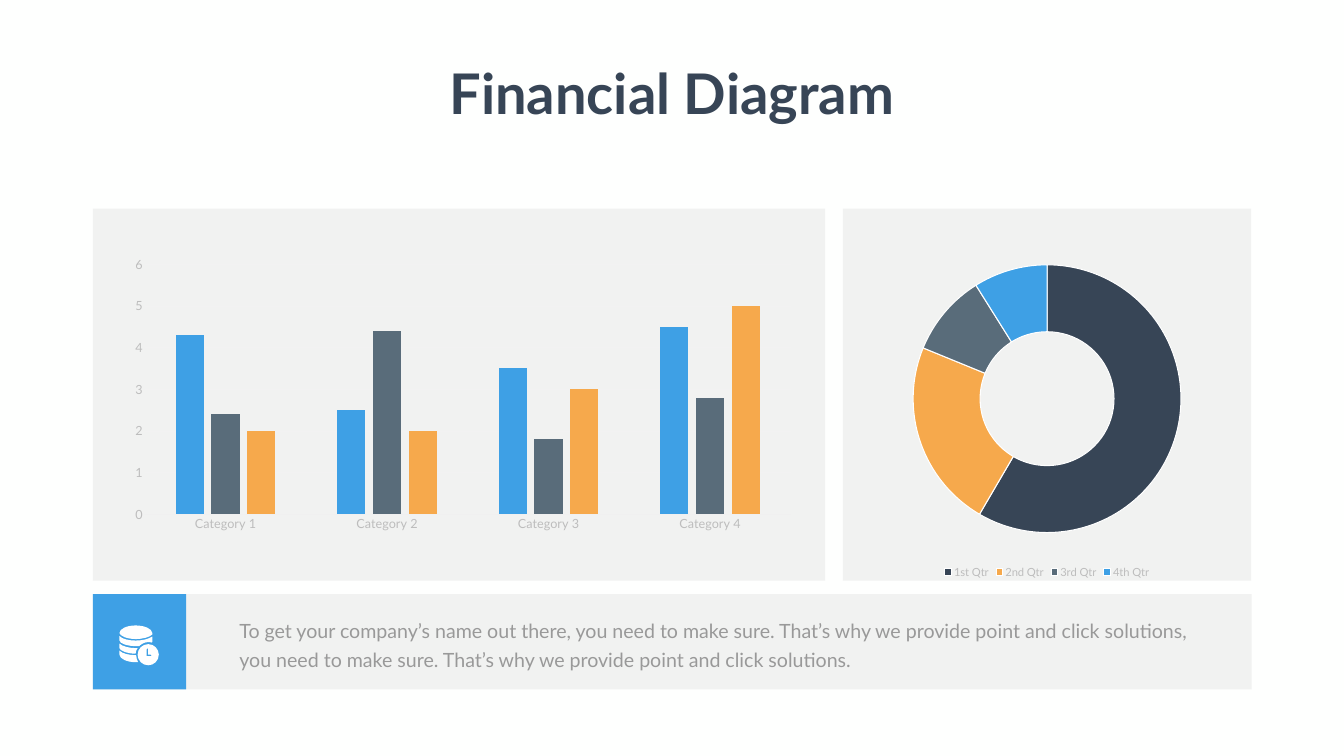
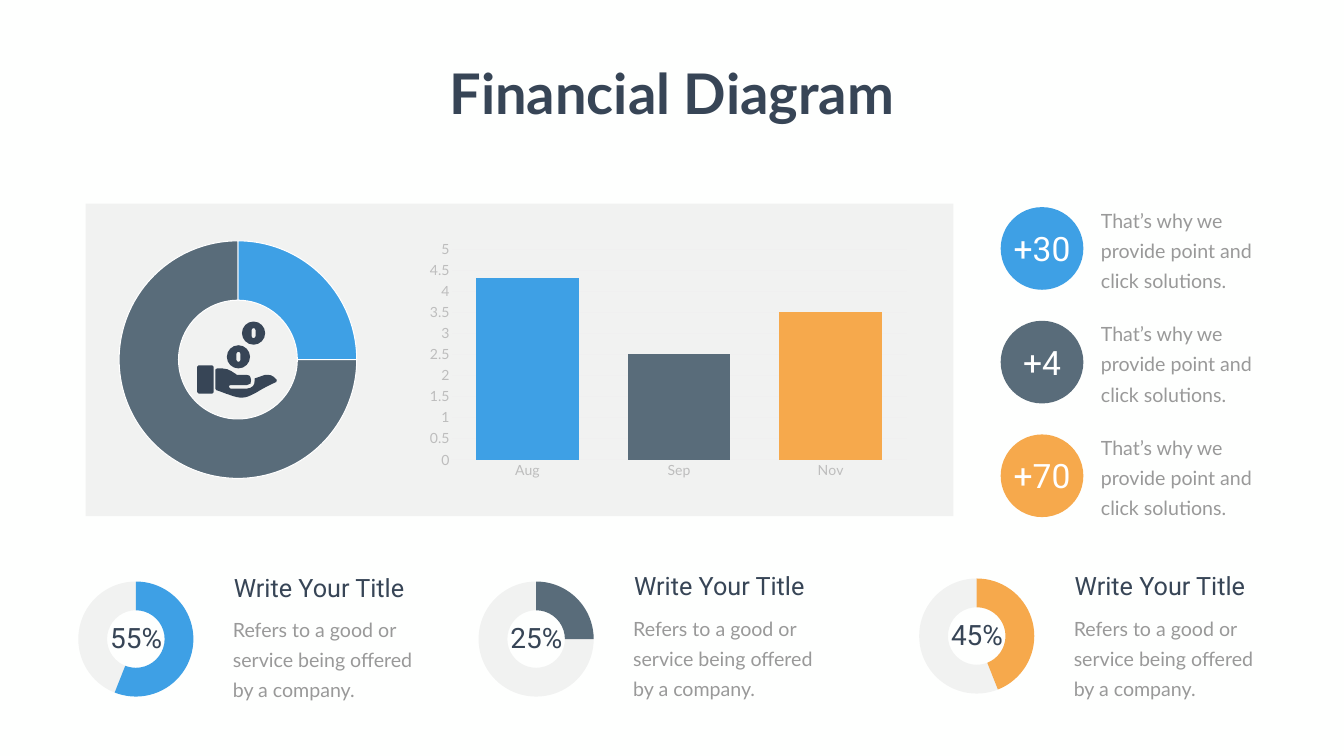
"""Build two financial diagram slides with charts, badges and icons."""
from dataclasses import dataclass

from lxml import etree
from pptx import Presentation
from pptx.chart.data import CategoryChartData
from pptx.dml.color import RGBColor
from pptx.enum.chart import XL_CHART_TYPE, XL_LEGEND_POSITION, XL_TICK_MARK
from pptx.enum.shapes import MSO_SHAPE
from pptx.enum.text import MSO_AUTO_SIZE, PP_ALIGN
from pptx.oxml import parse_xml
from pptx.oxml.ns import nsdecls, qn
from pptx.util import Inches, Pt

COLUMN, DOUGHNUT = XL_CHART_TYPE.COLUMN_CLUSTERED, XL_CHART_TYPE.DOUGHNUT
LEGEND_BOTTOM = XL_LEGEND_POSITION.BOTTOM
NO_TICK = XL_TICK_MARK.NONE
RECTANGLE, OVAL = MSO_SHAPE.RECTANGLE, MSO_SHAPE.OVAL
GROW = MSO_AUTO_SIZE.SHAPE_TO_FIT_TEXT
LEFT, CENTER = PP_ALIGN.LEFT, PP_ALIGN.CENTER

COLORS = {
    "page": "FEFFFE", "white": "FFFFFF", "navy": "374556", "blue": "3EA0E5",
    "slate": "596C7A", "orange": "F6A94C", "panel": "808080", "body": "999999",
    "label": "BDBDBD", "axis": "F0F0F0", "grid": "F2F2F2",
}
PANEL_ALPHA = 10
ARC = 0.55

Box = tuple[float, float, float, float]
Outline = list[tuple[float, ...]]


@dataclass(frozen=True)
class Style:
    font: str
    size: float
    color: str
    bold: bool = False
    align: PP_ALIGN = LEFT
    leading: float | None = None
    wrap: bool = True
    insets: tuple[float, float] = (0.1, 0.05)


@dataclass(frozen=True)
class Badge:
    number: str
    color: str


@dataclass(frozen=True)
class Card:
    left: float
    chart_top: float
    title_top: float
    percent: str
    share: int
    color: str


TITLE = Style("Lato", 80, "navy", bold=True, align=CENTER, wrap=False)
NOTE = Style("Lato", 28, "body", leading=40.8)
BADGE_NUMBER = Style("Roboto", 48, "white", align=CENTER)
BADGE_TEXT = Style("Lato", 28, "body", leading=43)
CARD_TITLE = Style("Roboto", 36, "navy")
CARD_TEXT = Style("Lato", 28, "body", leading=43, insets=(0.24, 0.12))
CARD_PERCENT = Style("Roboto", 40, "navy", align=CENTER)

BADGES = [Badge("+30", "blue"), Badge("+4", "slate"), Badge("+70", "orange")]
CARDS = [
    Card(1.33, 11.4, 11.3, "55%", 56, "blue"),
    Card(9.27, 11.4, 11.27, "25%", 25, "slate"),
    Card(18.01, 11.34, 11.27, "45%", 44, "orange"),
]

DISKS = [
    [(2.69, 12.97), (2.69, 12.93, 2.71, 12.89, 2.73, 12.86), (2.69, 12.86),
     (2.56, 12.86, 2.42, 12.82, 2.37, 12.77), (2.37, 12.86),
     (2.37, 12.9, 2.51, 12.97, 2.69, 12.97)],
    [(2.69, 12.82), (2.76, 12.82), (2.8, 12.78, 2.87, 12.74, 2.94, 12.74),
     (2.96, 12.74, 2.99, 12.74, 3, 12.75), (3.02, 12.74), (3.02, 12.63),
     (2.95, 12.68, 2.82, 12.71, 2.69, 12.71), (2.56, 12.71, 2.42, 12.68, 2.37, 12.62),
     (2.37, 12.71), (2.37, 12.76, 2.51, 12.82, 2.69, 12.82)],
    [(2.69, 12.68), (2.84, 12.68, 2.97, 12.64, 3.02, 12.59), (3.02, 12.56),
     (3.02, 12.48, 2.87, 12.41, 2.69, 12.41), (2.51, 12.41, 2.37, 12.48, 2.37, 12.56),
     (2.37, 12.61, 2.51, 12.68, 2.69, 12.68)],
    [(2.7, 13), (2.56, 13, 2.43, 12.97, 2.37, 12.91), (2.37, 12.99),
     (2.37, 13.07, 2.52, 13.14, 2.7, 13.14), (2.74, 13.14),
     (2.72, 13.09, 2.7, 13.05, 2.7, 13)],
]
CLOCK_HANDS = [(2.99, 13.02), (2.91, 13.02), (2.91, 12.88),
               (2.91, 12.87, 2.91, 12.86, 2.92, 12.86),
               (2.93, 12.86, 2.94, 12.87, 2.94, 12.88), (2.94, 12.99), (2.99, 12.99),
               (3, 12.99, 3.01, 13, 3.01, 13), (3.01, 13.01, 3, 13.02, 2.99, 13.02)]
CUFF = [(4.21, 7.25), (3.94, 7.25), (3.93, 7.25, 3.91, 7.26, 3.91, 7.28), (3.91, 7.78),
        (3.91, 7.79, 3.93, 7.81, 3.94, 7.81), (4.21, 7.81),
        (4.22, 7.81, 4.24, 7.79, 4.24, 7.78), (4.24, 7.28),
        (4.24, 7.26, 4.22, 7.25, 4.21, 7.25)]
HAND = [(5.48, 7.53), (5.41, 7.44, 5.35, 7.43, 5.25, 7.44), (5.05, 7.51), (5.05, 7.54),
        (5.05, 7.59, 5.05, 7.63, 5.02, 7.66), (4.98, 7.69, 4.95, 7.71, 4.9, 7.71),
        (4.57, 7.71), (4.55, 7.71, 4.54, 7.69, 4.54, 7.68),
        (4.54, 7.66, 4.55, 7.64, 4.57, 7.64), (4.9, 7.64),
        (4.93, 7.64, 4.95, 7.63, 4.97, 7.61), (4.98, 7.59, 4.98, 7.58, 4.98, 7.54),
        (4.98, 7.51, 4.97, 7.44, 4.9, 7.44), (4.7, 7.44), (4.69, 7.43),
        (4.65, 7.41, 4.55, 7.31, 4.41, 7.31), (4.31, 7.31),
        (4.29, 7.31, 4.27, 7.33, 4.27, 7.34), (4.27, 7.71), (4.29, 7.74),
        (4.41, 7.78, 4.47, 7.81, 4.54, 7.83), (4.67, 7.88, 4.74, 7.89, 4.8, 7.89),
        (4.88, 7.89, 4.95, 7.86, 5.08, 7.79), (5.16, 7.74, 5.3, 7.66, 5.48, 7.58),
        (5.49, 7.54)]


def capsule(x: float, y: float, radius: float, stretch: float = 0) -> Outline:
    left, right, bend = x - radius, x + radius, ARC * radius
    outline = [(left, y - stretch)]
    for start, end, side in ((left, right, -1), (right, left, 1)):
        base = y + side * stretch
        peak = base + side * radius
        if stretch and side == 1:
            outline.append((start, base))
        outline += [(start, base + side * bend, x + side * bend, peak, x, peak),
                    (x - side * bend, peak, end, base + side * bend, end, base)]
    return outline


def paint(fill, color: str, alpha: int | None = None) -> None:
    fill.solid()
    fill.fore_color.rgb = RGBColor.from_string(COLORS[color])
    if alpha is not None:
        color_node = fill._xPr.find(qn("a:solidFill"))[0]
        etree.SubElement(color_node, qn("a:alpha"), val=str(alpha * 1000))


def paint_slice(fill, color: str) -> None:
    paint(fill, color, PANEL_ALPHA if color == "panel" else None)


def set_font(font, name: str, size: float, color: str) -> None:
    font.name, font.size = name, Pt(size)
    font.color.rgb = RGBColor.from_string(COLORS[color])


def add_block(page, kind, box: Box, color: str) -> None:
    shape = page.shapes.add_shape(kind, *map(Inches, box))
    shape.shadow.inherit = False
    shape.line.fill.background()
    paint_slice(shape.fill, color)


def add_outline(page, color: str, *outlines: Outline) -> None:
    rings = [[tuple(map(Inches, step)) for step in outline] for outline in outlines]
    builder = page.shapes.build_freeform(*rings[0][0])
    for ring in rings:
        if ring is not rings[0]:
            builder.move_to(*ring[0])
        builder.add_line_segments([step[-2:] for step in ring[1:]])
    shape = builder.convert_to_shape()
    shape.shadow.inherit = False
    shape.line.fill.background()
    paint(shape.fill, color)
    steps = [step for ring in rings for step in ring[1:]]
    for segment, step in zip(list(shape._element.iter(qn("a:lnTo"))), steps):
        if len(step) == 6:
            curve = etree.Element(qn("a:cubicBezTo"))
            for x, y in zip(step[::2], step[1::2]):
                etree.SubElement(curve, qn("a:pt"), x=str(x - shape.left),
                                 y=str(y - shape.top))
            segment.getparent().replace(segment, curve)


def add_text(page, box: Box, text: str, style: Style) -> None:
    frame = page.shapes.add_textbox(*map(Inches, box)).text_frame
    frame.word_wrap = style.wrap
    frame.auto_size = GROW
    frame.margin_left = frame.margin_right = Inches(style.insets[0])
    frame.margin_top = frame.margin_bottom = Inches(style.insets[1])
    frame.text = text
    para = frame.paragraphs[0]
    para.alignment = style.align
    if style.leading:
        para.line_spacing = Pt(style.leading)
    span = para.runs[0]
    set_font(span.font, style.font, style.size, style.color)
    span.font.bold = style.bold


def add_chart(page, kind, box: Box, categories: list[str], rows: list[list[float]],
              size: float, font: str = "Lato", panel: bool = False,
              plot_area: Box | None = None):
    data = CategoryChartData()
    data.categories = categories
    for number, row in enumerate(rows, 1):
        data.add_series(f"Series {number}", row)
    chart = page.shapes.add_chart(kind, *map(Inches, box), data).chart
    chart.has_title = chart.has_legend = False
    chart.plots[0].has_data_labels = False
    set_font(chart.font, font, size, "body")
    clear = f'<c:spPr {nsdecls("c", "a")}><a:noFill/><a:ln><a:noFill/></a:ln></c:spPr>'
    frame = parse_xml(clear)
    if panel:
        fill = etree.Element(qn("a:solidFill"))
        tint = etree.SubElement(fill, qn("a:srgbClr"), val=COLORS["panel"])
        etree.SubElement(tint, qn("a:alpha"), val=str(PANEL_ALPHA * 1000))
        frame.replace(frame[0], fill)
    chart.element.find(qn("c:txPr")).addprevious(frame)
    area = chart.element.find(f'.//{qn("c:plotArea")}')
    area.append(parse_xml(clear))
    if plot_area:
        for old in area.findall(qn("c:layout")):
            area.remove(old)
        layout = etree.Element(qn("c:layout"))
        manual = etree.SubElement(layout, qn("c:manualLayout"))
        settings = [("layoutTarget", "inner"), ("xMode", "edge"), ("yMode", "edge"),
                    *zip("xywh", plot_area)]
        for name, value in settings:
            etree.SubElement(manual, qn(f"c:{name}"), val=str(value))
        area.insert(0, layout)
    return chart


def add_columns(page, box: Box, categories: list[str], rows: list[list[float]],
                size: float, gap: int, top: float, unit: float, grid: str, **options):
    chart = add_chart(page, COLUMN, box, categories, rows, size, **options)
    plot = chart.plots[0]
    plot.gap_width, plot.overlap, plot.vary_by_categories = gap, -27, False
    for axis in (chart.category_axis, chart.value_axis):
        axis.major_tick_mark = axis.minor_tick_mark = NO_TICK
        set_font(axis.tick_labels.font, "Lato", size, "label")
    values = chart.value_axis
    values.minimum_scale, values.maximum_scale, values.major_unit = 0, top, unit
    values.format.line.fill.background()
    values.has_major_gridlines = True
    for line, color in ((chart.category_axis.format.line, "axis"),
                        (values.major_gridlines.format.line, grid)):
        paint(line.fill, color)
        line.width = Pt(0.75)
    return plot


def add_doughnut(page, box: Box, categories: list[str], values: list[float],
                 colors: list[str], size: float = 10, font: str = "Calibri",
                 edged: bool = True, **options):
    chart = add_chart(page, DOUGHNUT, box, categories, [values], size, font, **options)
    chart.element.find(f'.//{qn("c:holeSize")}').set("val", "75")
    for index, color in enumerate(colors):
        look = chart.plots[0].series[0].points[index].format
        paint_slice(look.fill, color)
        if edged:
            paint(look.line.fill, "white")
            look.line.width = Pt(1.5)
        else:
            look.line.fill.background()
    return chart


def add_page(deck):
    page = deck.slides.add_slide(deck.slide_layouts[6])
    paint(page.background.fill, "page")
    return page


def add_title(page) -> None:
    add_text(page, (8.71, 1.12, 9.24, 1.45), "Financial Diagram", TITLE)


def build_overview(deck) -> None:
    page = add_page(deck)
    plot = add_columns(
        page, (1.84, 4.14, 14.53, 7.38), [f"Category {n}" for n in range(1, 5)],
        [[4.3, 2.5, 3.5, 4.5], [2.4, 4.4, 1.8, 2.8], [2, 2, 3, 5]], 18, 219, 6, 1, "grid",
        panel=True, plot_area=(0.071, 0.149, 0.882, 0.673))
    for series, color in zip(plot.series, ("blue", "slate", "orange")):
        paint(series.format.fill, color)
    chart = add_doughnut(
        page, (16.72, 4.14, 8.1, 7.38), ["1st Qtr", "2nd Qtr", "3rd Qtr", "4th Qtr"],
        [59, 23, 10, 9], ["navy", "orange", "slate", "blue"], 16, "Lato",
        panel=True, plot_area=(0.138, 0.151, 0.724, 0.72))
    chart.has_legend = True
    chart.legend.position = LEGEND_BOTTOM
    chart.legend.include_in_layout = False
    set_font(chart.legend.font, "Lato", 16, "label")
    add_block(page, RECTANGLE, (1.84, 11.79, 22.99, 1.89), "panel")
    add_block(page, RECTANGLE, (1.84, 11.79, 1.85, 1.89), "blue")
    for disk in DISKS:
        add_outline(page, "white", disk)
    add_outline(page, "white", capsule(2.94, 12.99, 0.21), CLOCK_HANDS)
    add_text(page, (4.65, 12.14, 19.39, 1.19),
             "To get your company’s name out there, you need to make sure. That’s why we "
             "provide point and click solutions, you need to make sure. That’s why we "
             "provide point and click solutions.", NOTE)
    add_title(page)


def add_badge(page, badge: Badge, top: float) -> None:
    add_block(page, OVAL, (19.85, top, 1.64, 1.64), badge.color)
    add_text(page, (19.6, top + 0.36, 2.14, 0.91), badge.number, BADGE_NUMBER)
    add_text(page, (21.74, top - 0.15, 3.63, 1.84),
             "That’s why we provide point and click solutions.", BADGE_TEXT)


def add_card(page, card: Card) -> None:
    add_text(page, (card.left + 3.05, card.title_top + 0.71, 4.16, 1.98),
             "Refers to a good or service being offered by a company.", CARD_TEXT)
    add_text(page, (card.left + 3.21, card.title_top, 4.81, 0.71),
             "Write Your Title", CARD_TITLE)
    add_doughnut(page, (card.left, card.chart_top, 2.73, 2.56), ["1", "2"],
                 [card.share, 100 - card.share], [card.color, "panel"], edged=False)
    add_text(page, (card.left + 0.54, card.chart_top + 0.86, 1.66, 0.77),
             card.percent, CARD_PERCENT)


def build_details(deck) -> None:
    page = add_page(deck)
    add_block(page, RECTANGLE, (1.7, 4.04, 17.21, 6.2), "panel")
    add_doughnut(page, (2.06, 4.64, 5.32, 4.99), ["1", "2"], [25, 75], ["blue", "slate"])
    plot = add_columns(page, (8.33, 4.67, 9.85, 4.93), ["Aug", "Sep", "Nov"],
                       [[4.3, 2.5, 3.5]], 20, 48, 5, 0.5, "axis")
    series = plot.series[0]
    paint(series.format.fill, "blue")
    for index, color in ((1, "slate"), (2, "orange")):
        paint(series.points[index].format.fill, color)
    for row, badge in enumerate(BADGES):
        add_badge(page, badge, 4.11 + 2.255 * row)
    for card in CARDS:
        add_card(page, card)
    for outline in (CUFF, HAND):
        add_outline(page, "navy", outline)
    for x, y in ((5.03, 6.61), (4.73, 7.08)):
        add_outline(page, "navy", capsule(x, y, 0.23), capsule(x, y, 0.04, 0.06))
    add_title(page)


def main() -> None:
    deck = Presentation()
    deck.slide_width, deck.slide_height = Inches(26.66), Inches(15)
    build_overview(deck)
    build_details(deck)
    deck.save("out.pptx")


if __name__ == "__main__":
    main()
